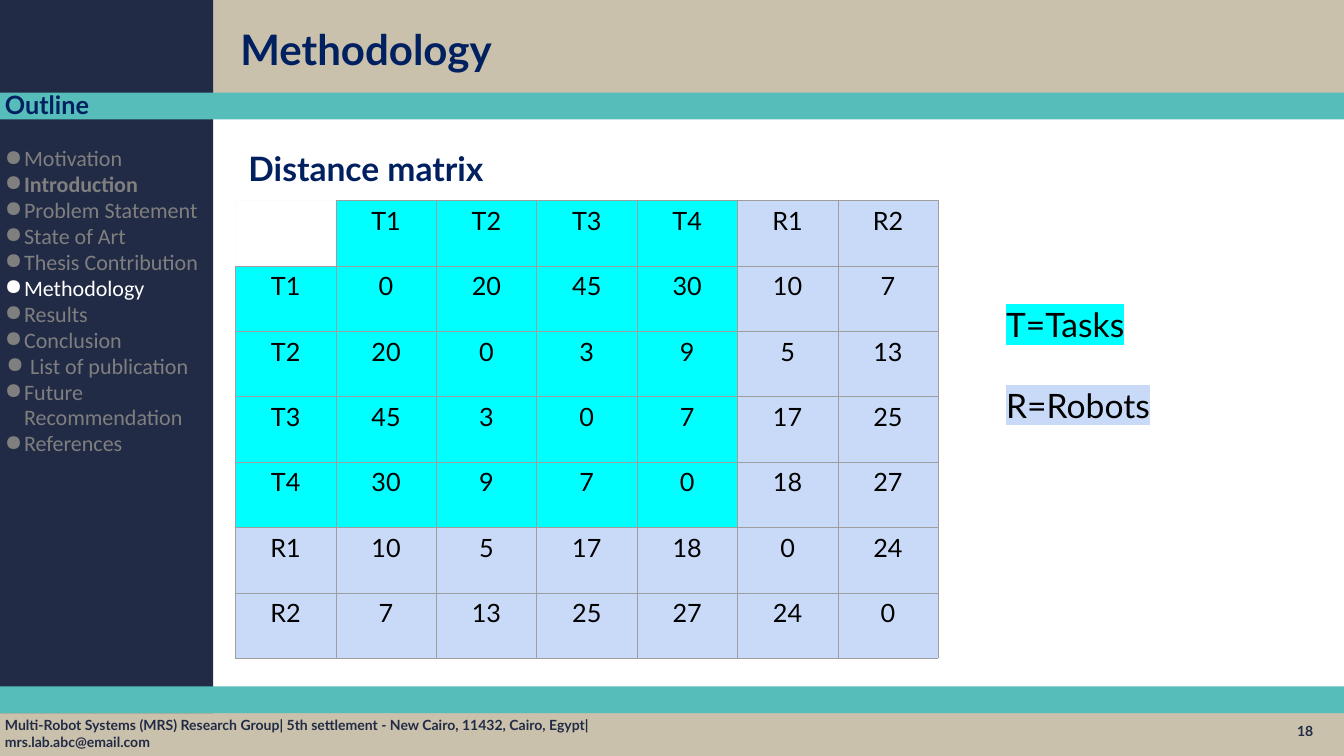
from pptx import Presentation
from pptx.dml.color import RGBColor
from pptx.enum.shapes import MSO_SHAPE
from pptx.enum.text import MSO_ANCHOR, PP_ALIGN
from pptx.oxml.ns import qn
from pptx.util import Inches, Pt
from lxml import etree

RECTANGLE = MSO_SHAPE.RECTANGLE
TOP, MIDDLE = MSO_ANCHOR.TOP, MSO_ANCHOR.MIDDLE
CENTER = PP_ALIGN.CENTER

SAND = RGBColor(0xCA, 0xC1, 0xAC)
DARK_NAVY = RGBColor(0x22, 0x2B, 0x45)
TEAL = RGBColor(0x57, 0xBD, 0xBA)
HEADING_BLUE = RGBColor(0x00, 0x20, 0x60)
GRAY = RGBColor(0x7F, 0x7F, 0x7F)
WHITE = RGBColor(0xFF, 0xFF, 0xFF)
BLACK = RGBColor(0x00, 0x00, 0x00)
TASK_CYAN = RGBColor(0x00, 0xFF, 0xFF)
ROBOT_BLUE = RGBColor(0xC9, 0xDA, 0xF8)
GRID_GRAY = RGBColor(0x9E, 0x9E, 0x9E)
CORNER_WHITE = RGBColor(0xFC, 0xFC, 0xFC)

WIDTH, HEIGHT = 26.66, 15

OUTLINE_TOPICS = [
    "Motivation", "Introduction", "Problem Statement", "State of Art",
    "Thesis Contribution", "Methodology", "Results", "Conclusion",
    "List of publication", "Future Recommendation", "References",
]
CURRENT_TOPIC, BOLD_TOPIC, INDENTED_TOPIC = "Methodology", "Introduction", "List of publication"

NODES = ["T1", "T2", "T3", "T4", "R1", "R2"]
TASK_COUNT = 4
DISTANCES = [
    [0, 20, 45, 30, 10, 7],
    [20, 0, 3, 9, 5, 13],
    [45, 3, 0, 7, 17, 25],
    [30, 9, 7, 0, 18, 27],
    [10, 5, 17, 18, 0, 24],
    [7, 13, 25, 27, 24, 0],
]


def style_paragraph(paragraph, size, color, name="Lato", bold=False):
    for run in paragraph.runs:
        run.font.size = Pt(size)
        run.font.bold = bold
        run.font.color.rgb = color
        run.font.name = name


def add_bar(slide, box, color):
    bar = slide.shapes.add_shape(RECTANGLE, *map(Inches, box))
    bar.shadow.inherit = False
    bar.fill.solid()
    bar.fill.fore_color.rgb = color
    bar.line.fill.background()


def add_text_frame(slide, box, anchor=TOP):
    text_frame = slide.shapes.add_textbox(*map(Inches, box)).text_frame
    text_frame.word_wrap = True
    text_frame.vertical_anchor = anchor
    return text_frame


def add_label(slide, box, text, size, color, space_before=0):
    """Add one bold line, centred vertically in its box."""
    text_frame = add_text_frame(slide, box, MIDDLE)
    text_frame.text = text
    paragraph = text_frame.paragraphs[0]
    paragraph.space_before = Pt(space_before)
    style_paragraph(paragraph, size, color, bold=True)


def add_background(slide):
    add_bar(slide, (0, 14.1, WIDTH, 0.9), SAND)
    add_bar(slide, (0, 0, WIDTH, 1.97), SAND)
    add_bar(slide, (0, 0, 4.23, 14.15), DARK_NAVY)
    for top in (13.62, 1.84):
        add_bar(slide, (0, top, WIDTH, 0.53), TEAL)


def add_bullet(paragraph, color, indent, hanging):
    properties = paragraph._p.get_or_add_pPr()
    properties.set("marL", str(Inches(indent)))
    properties.set("indent", str(-Inches(hanging)))
    bullet_color = etree.SubElement(properties, qn("a:buClr"))
    etree.SubElement(bullet_color, qn("a:srgbClr"), val=str(color))
    etree.SubElement(properties, qn("a:buChar"), char="●")


def add_outline(slide, box):
    text_frame = add_text_frame(slide, box)
    text_frame.text = "\n".join(OUTLINE_TOPICS)
    for topic, paragraph in zip(OUTLINE_TOPICS, text_frame.paragraphs):
        color = WHITE if topic == CURRENT_TOPIC else GRAY
        indent, hanging = (0.5, 0.47) if topic == INDENTED_TOPIC else (0.38, 0.43)
        paragraph.line_spacing = 0.98
        add_bullet(paragraph, color, indent, hanging)
        style_paragraph(paragraph, 31.5, color, "Calibri", topic == BOLD_TOPIC)


def set_borders(cell, outer_color):
    """Draw all four sides; the left and top ones take outer_color."""
    sides = {"lnL": outer_color, "lnR": GRID_GRAY, "lnT": outer_color, "lnB": GRID_GRAY}
    properties = cell._tc.get_or_add_tcPr()
    for side, color in sides.items():
        line = etree.SubElement(properties, qn(f"a:{side}"), w=str(Pt(0.75)))
        fill = etree.SubElement(line, qn("a:solidFill"))
        etree.SubElement(fill, qn("a:srgbClr"), val=str(color))


def add_distance_matrix(slide, box):
    rows = [["", *NODES]]
    rows += [[node, *distances] for node, distances in zip(NODES, DISTANCES)]
    count = len(rows)
    left, top, width, height = map(Inches, box)
    table = slide.shapes.add_table(count, count, left, top, width, height).table
    table.first_row = table.horz_banding = False
    for row_index, row in enumerate(rows):
        for column_index, value in enumerate(row):
            cell = table.cell(row_index, column_index)
            is_corner = row_index == column_index == 0
            set_borders(cell, CORNER_WHITE if is_corner else GRID_GRAY)
            cell.margin_left = cell.margin_right = Inches(0.1)
            cell.margin_top = cell.margin_bottom = Inches(0.1)
            if is_corner:
                cell.fill.background()
                continue
            is_task = max(row_index, column_index) <= TASK_COUNT
            cell.fill.solid()
            cell.fill.fore_color.rgb = TASK_CYAN if is_task else ROBOT_BLUE
            cell.text = str(value)
            paragraph = cell.text_frame.paragraphs[0]
            paragraph.alignment = CENTER
            style_paragraph(paragraph, 36, BLACK)


def highlight(run, color):
    marker = etree.Element(qn("a:highlight"))
    etree.SubElement(marker, qn("a:srgbClr"), val=str(color))
    run._r.get_or_add_rPr().find(qn("a:solidFill")).addnext(marker)


def add_legend(slide, box):
    text_frame = add_text_frame(slide, box)
    text_frame.margin_top = text_frame.margin_bottom = Inches(0.1)
    text_frame.text = "T=Tasks\nR=Robots"
    for paragraph, color in zip(text_frame.paragraphs, (TASK_CYAN, ROBOT_BLUE)):
        style_paragraph(paragraph, 48, BLACK)
        highlight(paragraph.runs[0], color)
    text_frame.paragraphs[1].space_before = Pt(57.6)


def main():
    presentation = Presentation()
    presentation.slide_width, presentation.slide_height = Inches(WIDTH), Inches(HEIGHT)
    slide = presentation.slides.add_slide(presentation.slide_layouts[6])

    add_background(slide)
    add_label(slide, (0, 14.15, 12.63, 0.8),
              "Multi-Robot Systems (MRS) Research Group| 5th settlement - New Cairo, "
              "11432, Cairo, Egypt| mrs.lab.abc@email.com", 20, DARK_NAVY)
    add_label(slide, (4.67, 0.26, 10.95, 1.42), "Methodology", 60, HEADING_BLUE)
    add_label(slide, (4.83, 2.85, 21.05, 0.95), "Distance matrix", 48, HEADING_BLUE, 8)
    add_label(slide, (25.63, 14.1, 1, 0.8), "18", 20, DARK_NAVY)
    add_label(slide, (0, 1.83, 4.12, 0.47), "Outline", 36, HEADING_BLUE, 7.2)
    add_outline(slide, (0, 2.85, 4.2, 10.47))
    add_distance_matrix(slide, (4.67, 3.98, 13.94, 9.08))
    add_legend(slide, (19.86, 5.93, 6.01, 3.24))
    presentation.save("out.pptx")


if __name__ == "__main__":
    main()
